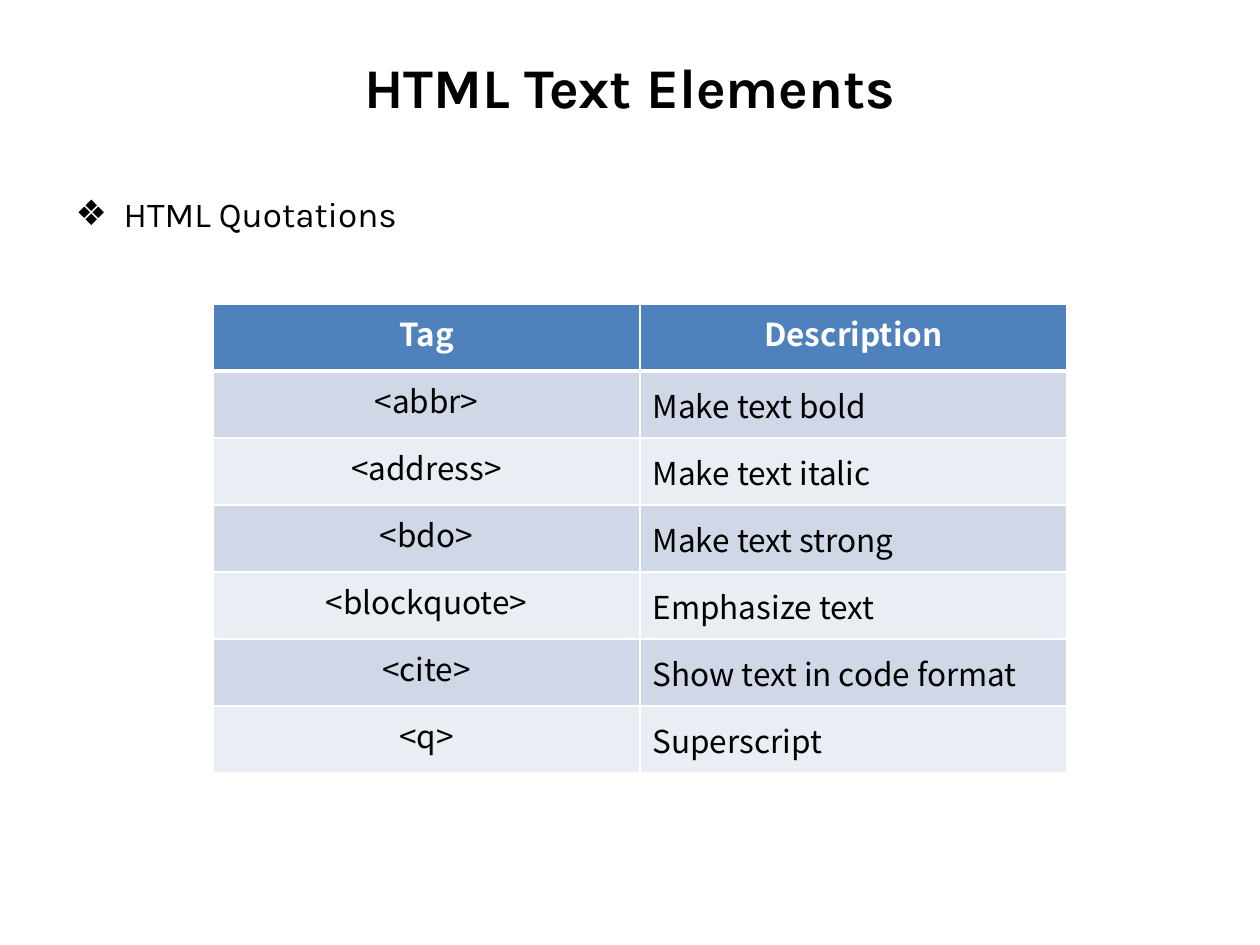
from lxml import etree
from pptx import Presentation
from pptx.dml.color import RGBColor
from pptx.enum.text import MSO_ANCHOR, PP_ALIGN
from pptx.oxml.ns import qn
from pptx.util import Emu, Pt

CENTER, LEFT, JUSTIFY = PP_ALIGN.CENTER, PP_ALIGN.LEFT, PP_ALIGN.JUSTIFY
TOP, MIDDLE = MSO_ANCHOR.TOP, MSO_ANCHOR.MIDDLE

BLACK = RGBColor(0x00, 0x00, 0x00)
WHITE = RGBColor(0xFF, 0xFF, 0xFF)
HEADER_BLUE = RGBColor(0x4F, 0x81, 0xBD)
BANDS = (RGBColor(0xD0, 0xD8, 0xE8), RGBColor(0xE9, 0xED, 0xF4))

HEADING_FONT = "Karla"
TABLE_FONT = "Noto Sans CJK KR"

PX_PER_INCH = 126
COL_WIDTH, ROW_HEIGHT = 427, 67

ROWS = [
    ("Tag", "Description"),
    ("<abbr>", "Make text bold"),
    ("<address>", "Make text italic"),
    ("<bdo>", "Make text strong"),
    ("<blockquote>", "Emphasize text"),
    ("<cite>", "Show text in code format"),
    ("<q>", "Superscript"),
]


def px(n):
    return Emu(round(n * 914400 / PX_PER_INCH))


def place(sp, left, top, width, height):
    sp.left, sp.top, sp.width, sp.height = map(px, (left, top, width, height))


def style_paragraph(p, text, font, size, color, align, bold=False):
    p.text = text
    p.alignment = align
    p.font.name = font
    p.font.size = Pt(size)
    p.font.bold = bold
    p.font.color.rgb = color


def set_bullet(p, char, indent):
    """Give the paragraph a hanging bullet."""
    pPr = p._p.get_or_add_pPr()
    pPr.set("marL", str(px(indent)))
    pPr.set("indent", str(-px(indent)))
    bullet = etree.Element(qn("a:buChar"), char=char)
    pPr.insert_element_before(bullet, "a:tabLst", "a:defRPr", "a:extLst")


def set_borders(cell, color, top, bottom):
    """Draw all four sides; left and right are 1 pt wide."""
    tcPr = cell._tc.get_or_add_tcPr()
    sides = (("L", 1), ("R", 1), ("T", top), ("B", bottom))
    for i, (side, width) in enumerate(sides):
        ln = etree.Element(qn(f"a:ln{side}"), w=str(Pt(width)))
        fill = etree.SubElement(ln, qn("a:solidFill"))
        etree.SubElement(fill, qn("a:srgbClr"), val=str(color))
        tcPr.insert(i, ln)


def fill_cell(cell, text, row, col):
    header = row == 0
    description = col == 1 and not header
    cell.fill.solid()
    cell.fill.fore_color.rgb = HEADER_BLUE if header else BANDS[(row - 1) % 2]
    cell.vertical_anchor = MIDDLE if description else TOP
    style_paragraph(cell.text_frame.paragraphs[0], text, TABLE_FONT, 18,
                    WHITE if header else BLACK,
                    LEFT if description else CENTER, bold=header)
    set_borders(cell, WHITE, top=3 if row == 1 else 1, bottom=3 if header else 1)


def add_tag_table(slide, left, top):
    n_rows, n_cols = len(ROWS), len(ROWS[0])
    table = slide.shapes.add_table(
        n_rows, n_cols, px(left), px(top),
        px(n_cols * COL_WIDTH), px(n_rows * ROW_HEIGHT)).table
    for column in table.columns:
        column.width = px(COL_WIDTH)
    for r, texts in enumerate(ROWS):
        table.rows[r].height = px(ROW_HEIGHT)
        for c, text in enumerate(texts):
            fill_cell(table.cell(r, c), text, r, c)


def main():
    prs = Presentation()
    prs.slide_width, prs.slide_height = px(1260), px(945)
    slide = prs.slides.add_slide(prs.slide_layouts[1])

    title, body = slide.shapes.title, slide.placeholders[1]
    place(title, 63, 38, 1134, 97)
    style_paragraph(title.text_frame.paragraphs[0], "HTML Text Elements",
                    HEADING_FONT, 32, BLACK, CENTER, bold=True)

    place(body, 63, 165, 1134, 735)
    p = body.text_frame.paragraphs[0]
    style_paragraph(p, "HTML Quotations", HEADING_FONT, 20, BLACK, JUSTIFY)
    p.line_spacing = 1.5
    set_bullet(p, "❖", 48)

    add_tag_table(slide, 213, 304)
    prs.save("out.pptx")


if __name__ == "__main__":
    main()
